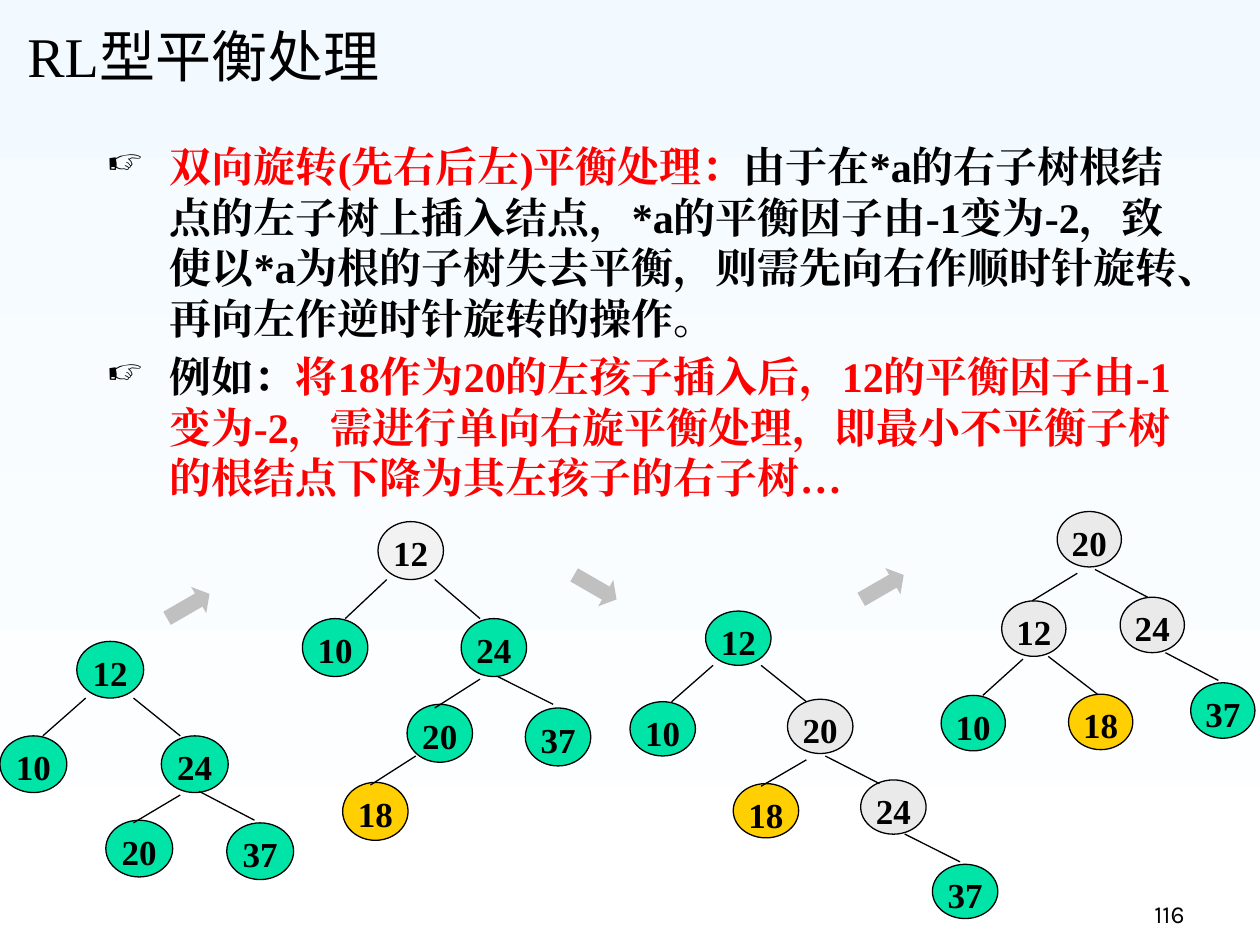
"""Build the slide on RL balancing of AVL trees."""
from dataclasses import dataclass
from typing import Any

from lxml.etree import SubElement
from pptx import Presentation
from pptx.dml.color import RGBColor
from pptx.enum.lang import MSO_LANGUAGE_ID
from pptx.enum.shapes import MSO_CONNECTOR, MSO_SHAPE
from pptx.enum.text import MSO_ANCHOR, PP_ALIGN
from pptx.oxml.ns import qn
from pptx.util import Pt

BLACK = RGBColor(0x00, 0x00, 0x00)
RED = RGBColor(0xFF, 0x00, 0x00)
GREEN = RGBColor(0x00, 0xE4, 0xA8)
YELLOW = RGBColor(0xFF, 0xCF, 0x01)
PALE = RGBColor(0xF2, 0xF2, 0xF2)
GREY = RGBColor(0xEA, 0xEA, 0xEA)
SILVER = RGBColor(0xC0, 0xC0, 0xC0)
SKY = RGBColor(0xF3, 0xFA, 0xFF)
WHITE = RGBColor(0xFF, 0xFF, 0xFF)

SERIF = "Times New Roman"
HAN = "Noto Sans CJK SC"

BODY = [
    [("双向旋转(先右后左)平衡处理：", RED),
     ("由于在*a的右子树根结点的左子树上插入结点，*a的平衡因子由-1变为-2，"
      "致使以*a为根的子树失去平衡，则需先向右作顺时针旋转、再向左作逆时针旋转的操作。", BLACK)],
    [("例如：", BLACK),
     ("将18作为20的左孩子插入后，12的平衡因子由-1变为-2，需进行单向右旋平衡处理，"
      "即最小不平衡子树的根结点下降为其左孩子的右子树…", RED)],
]

TREES = [
    ((38.2, 32.4),
     [("24", GREEN, 92.2, 420.5), ("12", GREEN, 43.9, 366.5), ("20", GREEN, 60.5, 468.7),
      ("10", GREEN, 0, 420.5), ("37", GREEN, 129.6, 470.2)],
     [(103, 454.3, 76.3, 470.2), (49, 398.9, 24.5, 420.5),
      (113.8, 452.2, 145.4, 468.7), (76.3, 398.9, 103, 420.5)]),
    ((37.4, 33.1),
     [("24", GREEN, 263.5, 353.5), ("12", PALE, 216, 298.1), ("20", GREEN, 232.6, 402.5),
      ("10", GREEN, 172.8, 353.5), ("37", GREEN, 300.2, 404.6), ("18", YELLOW, 195.8, 447.1)],
     [(274.3, 388.1, 248.4, 404.6), (221, 331.2, 197.3, 353.5), (284.4, 386.6, 316.1, 402.5),
      (248.4, 331.2, 274.3, 353.5), (237.6, 432, 211.7, 448.6)]),
    ((37.4, 31),
     [("20", GREY, 450, 399.6), ("12", GREEN, 403.2, 349.2), ("18", YELLOW, 419, 447.8),
      ("10", GREEN, 360, 401), ("24", GREY, 491.8, 445.7), ("37", GREEN, 532.8, 493.9)],
     [(460.8, 434.2, 434.9, 449.3), (407.5, 380.2, 383.8, 401), (471.6, 432, 502.6, 447.8),
      (434.9, 380.2, 460.8, 401), (517, 476.6, 548.6, 492.5)]),
    ((36.7, 31.7),
     [("20", GREY, 604.1, 292.3), ("12", GREY, 572.4, 343.4), ("24", GREY, 640.1, 341.3),
      ("37", GREEN, 680.4, 390.2), ("10", GREEN, 537.8, 397.4), ("18", YELLOW, 610.6, 396.7)],
     [(615.6, 327.6, 589.7, 343.4), (625.7, 325.4, 655.9, 341.3), (666, 373, 696.2, 388.8),
      (584.6, 376.6, 561.6, 397.4), (599, 375.1, 627.1, 396.7)]),
]

ARROWS = [(93.6, 337.7, 330), (326.2, 326.9, 30), (490.3, 326.9, 330)]


def add_span(para, text, size=20, bold=True, color=BLACK, font=SERIF, han=SERIF):
    span = para.add_run()
    span.text = text
    span.font.size = Pt(size)
    span.font.bold = bold
    span.font.name = font
    span.font.color.rgb = color
    span.font.language_id = MSO_LANGUAGE_ID.SIMPLIFIED_CHINESE
    SubElement(span.font._element, qn("a:ea")).set("typeface", han)


@dataclass
class SlideStyle:
    page: Any
    line_width: float = 0.75

    def background(self, top, bottom):
        fill = self.page.background.fill
        fill.gradient()
        fill.gradient_angle = 270
        for stop, color, position in zip(fill.gradient_stops, (top, bottom), (0, 1)):
            stop.color.rgb = color
            stop.position = position

    def text_box(self, *place, anchor=MSO_ANCHOR.TOP):
        box = self.page.shapes.add_textbox(*map(Pt, place))
        frame = box.text_frame
        frame.word_wrap = True
        frame.vertical_anchor = anchor
        return frame

    def bullet(self, para, symbol="☞"):
        para.space_before = Pt(4.8)
        props = para._p.get_or_add_pPr()
        props.set("marL", str(Pt(36)))
        props.set("indent", str(Pt(-36)))
        SubElement(SubElement(props, qn("a:buClr")), qn("a:srgbClr")).set("val", str(BLACK))
        SubElement(props, qn("a:buSzPct")).set("val", "85000")
        SubElement(props, qn("a:buChar")).set("char", symbol)

    def shape(self, kind, color, *place):
        shape = self.page.shapes.add_shape(kind, *map(Pt, place))
        shape.shadow.inherit = False
        shape.fill.solid()
        shape.fill.fore_color.rgb = color
        return shape

    def node(self, label, color, left, top, size):
        oval = self.shape(MSO_SHAPE.OVAL, color, left, top, *size)
        oval.line.color.rgb = BLACK
        oval.line.width = Pt(self.line_width)
        frame = oval.text_frame
        frame.margin_left = frame.margin_right = frame.margin_bottom = 0
        frame.margin_top = Pt(8.6)
        frame.vertical_anchor = MSO_ANCHOR.TOP
        para = frame.paragraphs[0]
        para.alignment = PP_ALIGN.CENTER
        para.line_spacing = 0.64
        add_span(para, label)

    def edge(self, *ends):
        line = self.page.shapes.add_connector(MSO_CONNECTOR.STRAIGHT, *map(Pt, ends))
        line.line.color.rgb = BLACK
        line.line.width = Pt(self.line_width)
        SubElement(line._element.spPr, qn("a:effectLst"))

    def arrow(self, left, top, angle):
        arrow = self.shape(MSO_SHAPE.RIGHT_ARROW, SILVER, left, top, 28, 17.3)
        arrow.line.fill.background()
        arrow.adjustments[0] = 0.5
        arrow.adjustments[1] = 0.41
        arrow.rotation = angle


def main():
    deck = Presentation()
    deck.slide_width, deck.slide_height = Pt(720), Pt(540)
    style = SlideStyle(deck.slides.add_slide(deck.slide_layouts[6]))
    style.background(SKY, WHITE)

    title = style.text_box(8.6, 3.6, 613.4, 50.4, anchor=MSO_ANCHOR.BOTTOM).paragraphs[0]
    add_span(title, "RL", size=32, bold=False)
    add_span(title, "型平衡处理", size=32, bold=False, font=HAN, han=HAN)

    body = style.text_box(54, 77, 640.8, 215.3)
    for index, spans in enumerate(BODY):
        para = body.add_paragraph() if index else body.paragraphs[0]
        style.bullet(para)
        for text, color in spans:
            add_span(para, text, size=24, color=color)

    for size, nodes, edges in TREES:
        for node in nodes:
            style.node(*node, size=size)
        for edge in edges:
            style.edge(*edge)
    for arrow in ARROWS:
        style.arrow(*arrow)

    number = style.text_box(534.2, 498.2, 149.8, 36, anchor=MSO_ANCHOR.BOTTOM).paragraphs[0]
    number.alignment = PP_ALIGN.RIGHT
    add_span(number, "116", size=14, bold=False, font="Karla", han="Karla")
    deck.save("out.pptx")


if __name__ == "__main__":
    main()
